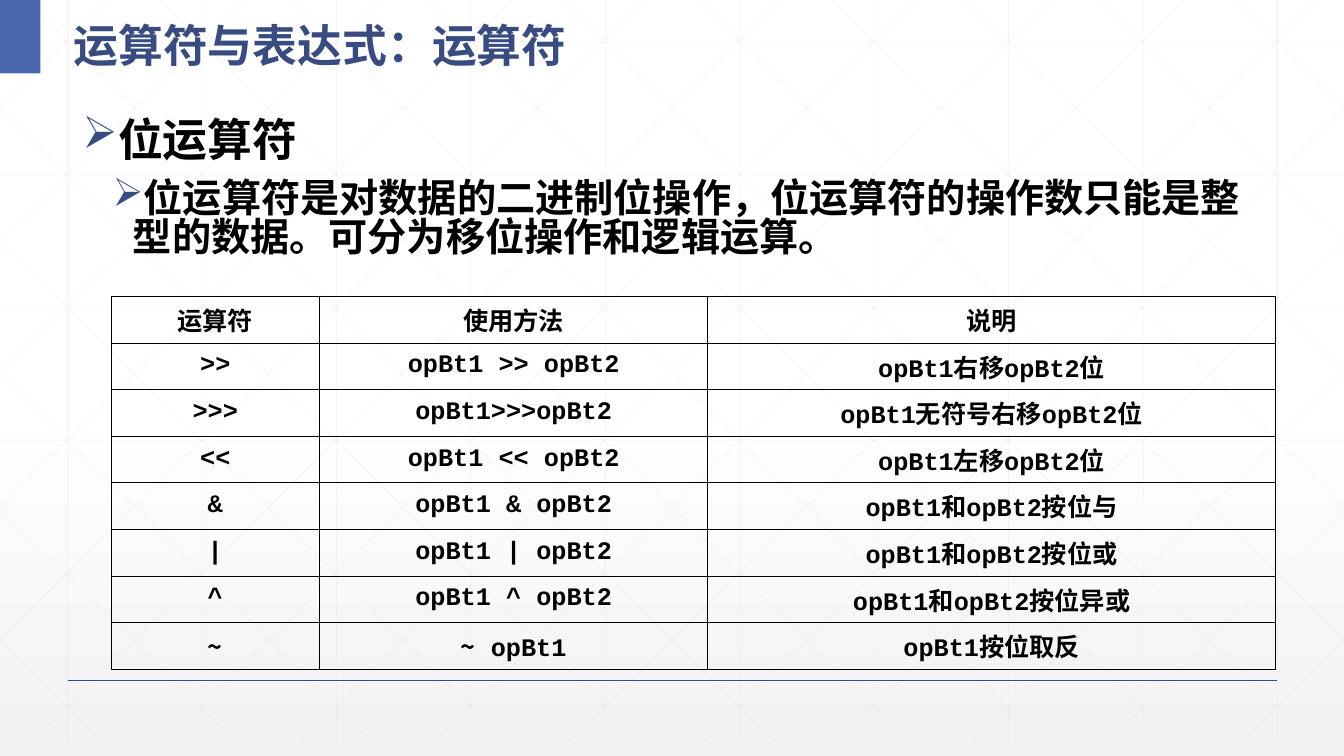
from itertools import groupby

from lxml import etree
from pptx import Presentation
from pptx import util as u
from pptx.dml.color import RGBColor
from pptx.enum import shapes, text
from pptx.oxml.ns import qn

WHITE = RGBColor(0xFF, 0xFF, 0xFF)
PALE = RGBColor(0xF2, 0xF2, 0xF2)
GRAY = RGBColor(0xD9, 0xD9, 0xD9)
BLACK = RGBColor(0, 0, 0)
BLUE = RGBColor(0x4A, 0x66, 0xAC)
NAVY = RGBColor(0x38, 0x4C, 0x81)
HAN, CODE = "Noto Sans CJK SC", "Courier New"
WIDE, HIGH = 13.33, 7.5
BASE = 7.37  # lower end of the grid
STEP = 4 / 3
SLOPE = 0.99

ROWS = [
    ("运算符", "使用方法", "说明"),
    (">>", "opBt1 >> opBt2", "opBt1右移opBt2位"),
    (">>>", "opBt1>>>opBt2", "opBt1无符号右移opBt2位"),
    ("<<", "opBt1 << opBt2", "opBt1左移opBt2位"),
    ("&", "opBt1 & opBt2", "opBt1和opBt2按位与"),
    ("|", "opBt1 | opBt2", "opBt1和opBt2按位或"),
    ("^", "opBt1 ^ opBt2", "opBt1和opBt2按位异或"),
    ("~", "~ opBt1", "opBt1按位取反"),
]
COLS = (2.07, 3.85, 5.63)
ITEMS = [("位运算符", 32, 0.25, -0.25, 0),
         ("位运算符是对数据的二进制位操作，位运算符的操作数只能是整型的数据。可分为移位操作和逻辑运算。",
          28, 0.5, -0.2, 12)]


def add_tag(node, name, **attrs):
    return etree.SubElement(node, qn(name), attrs)


def style(run, size, color, face=HAN):
    font = run.font
    font.size, font.bold, font.name = u.Pt(size), True, face
    font.color.rgb = color
    add_tag(run._r.get_or_add_rPr(), "a:ea", typeface=face)


def add_line(group, x1, y1, x2, y2, color, width, alpha=None):
    line = group.add_connector(shapes.MSO_CONNECTOR.STRAIGHT,
                               *map(u.Inches, (x1, y1, x2, y2)))
    line.line.width = u.Pt(width)
    line.line.color.rgb = color
    prop = line._element.spPr
    if alpha:
        tint = next(prop.iter(qn("a:srgbClr")))
        add_tag(tint, "a:alpha", val=str(alpha * 1000))
    add_tag(prop, "a:effectLst")


def add_grid(slide):
    """Faint upright, level and crossing lines, cut at the slide's sides."""
    lines = [(0.67 + i * STEP, 0, 0.67 + i * STEP, BASE) for i in range(10)]
    lines += [(0, 0.42 + i * 1.316, WIDE, 0.42 + i * 1.316) for i in range(6)]
    for i in range(-5, 10):
        start = 0.25 + i * STEP
        left, right = max(start, 0), min(start + BASE / SLOPE, WIDE)
        top, low = (left - start) * SLOPE, (right - start) * SLOPE
        lines += [(left, top, right, low),
                  (WIDE - left, top, WIDE - right, low)]
    group = slide.shapes.add_group_shape().shapes
    for ends in lines:
        add_line(group, *ends, GRAY, 0.5, 25)


def add_back(slide):
    fill = slide.background.fill
    fill.gradient()
    fill.gradient_angle = 270
    for stop, place, color in zip(fill.gradient_stops, (0.53, 1), (WHITE, PALE)):
        stop.position = place
        stop.color.rgb = color


def add_box(slide, *place):
    box = slide.shapes.add_textbox(*map(u.Inches, place))
    box.text_frame.word_wrap = True
    return box.text_frame


def add_title(slide):
    bar = slide.shapes.add_shape(shapes.MSO_SHAPE.RECTANGLE, 0, 0,
                                 u.Inches(0.4), u.Inches(0.73))
    bar.shadow.inherit = False
    bar.fill.solid()
    bar.fill.fore_color.rgb = BLUE
    bar.line.fill.background()
    frame = add_box(slide, 0.63, 0, 5.69, 0.73)
    frame.vertical_anchor = text.MSO_ANCHOR.MIDDLE
    para = frame.paragraphs[0]
    para.text = "运算符与表达式：运算符"
    para.line_spacing = 1.3
    style(para.runs[0], 32, NAVY)


def add_body(slide):
    frame = add_box(slide, 0.72, 1.12, 11.74, 5.52)
    frame.margin_top = u.Inches(0.08)
    for i, (words, size, left, hang, gap) in enumerate(ITEMS):
        para = frame.add_paragraph() if i else frame.paragraphs[0]
        para.text = words
        para.level = i
        para.line_spacing = 0.82
        para.space_before = u.Pt(gap)
        prop = para._p.get_or_add_pPr()
        prop.set("marL", str(u.Inches(left)))
        prop.set("indent", str(u.Inches(hang)))
        add_tag(add_tag(prop, "a:buClr"), "a:srgbClr", val=str(NAVY))
        add_tag(prop, "a:buChar", char="➢")
        style(para.runs[0], size, BLACK)


def set_cell(cell, words):
    """Centre the words, Latin in the code face, with a thin black frame."""
    cell.vertical_anchor = text.MSO_ANCHOR.MIDDLE
    cell.margin_top = cell.margin_bottom = u.Inches(0.04)
    para = cell.text_frame.paragraphs[0]
    para.alignment = text.PP_ALIGN.CENTER
    for han, part in groupby(words, lambda char: char >= "~"):
        run = para.add_run()
        run.text = "".join(part)
        style(run, 18, BLACK, HAN if han else CODE)
    prop = cell._tc.get_or_add_tcPr()
    for side in "LRTB":
        edge = add_tag(prop, "a:ln" + side, w=str(u.Pt(0.5)))
        add_tag(add_tag(edge, "a:solidFill"), "a:srgbClr", val=str(BLACK))
    cell.fill.background()


def add_table(slide):
    place = map(u.Inches, (1.1, 2.94, sum(COLS), 3.7))
    table = slide.shapes.add_table(len(ROWS), len(COLS), *place).table
    table.first_row = table.horz_banding = False
    for col, width in zip(table.columns, COLS):
        col.width = u.Inches(width)
    for row, line in zip(table.rows, ROWS):
        for cell, words in zip(row.cells, line):
            set_cell(cell, words)


def main():
    deck = Presentation()
    deck.slide_width, deck.slide_height = u.Inches(WIDE), u.Inches(HIGH)
    slide = deck.slides.add_slide(deck.slide_layouts[6])
    add_back(slide)
    add_grid(slide)
    add_line(slide.shapes, 0.67, 6.75, 12.67, 6.75, NAVY, 1)
    add_title(slide)
    add_body(slide)
    add_table(slide)
    deck.save("out.pptx")


if __name__ == "__main__":
    main()
